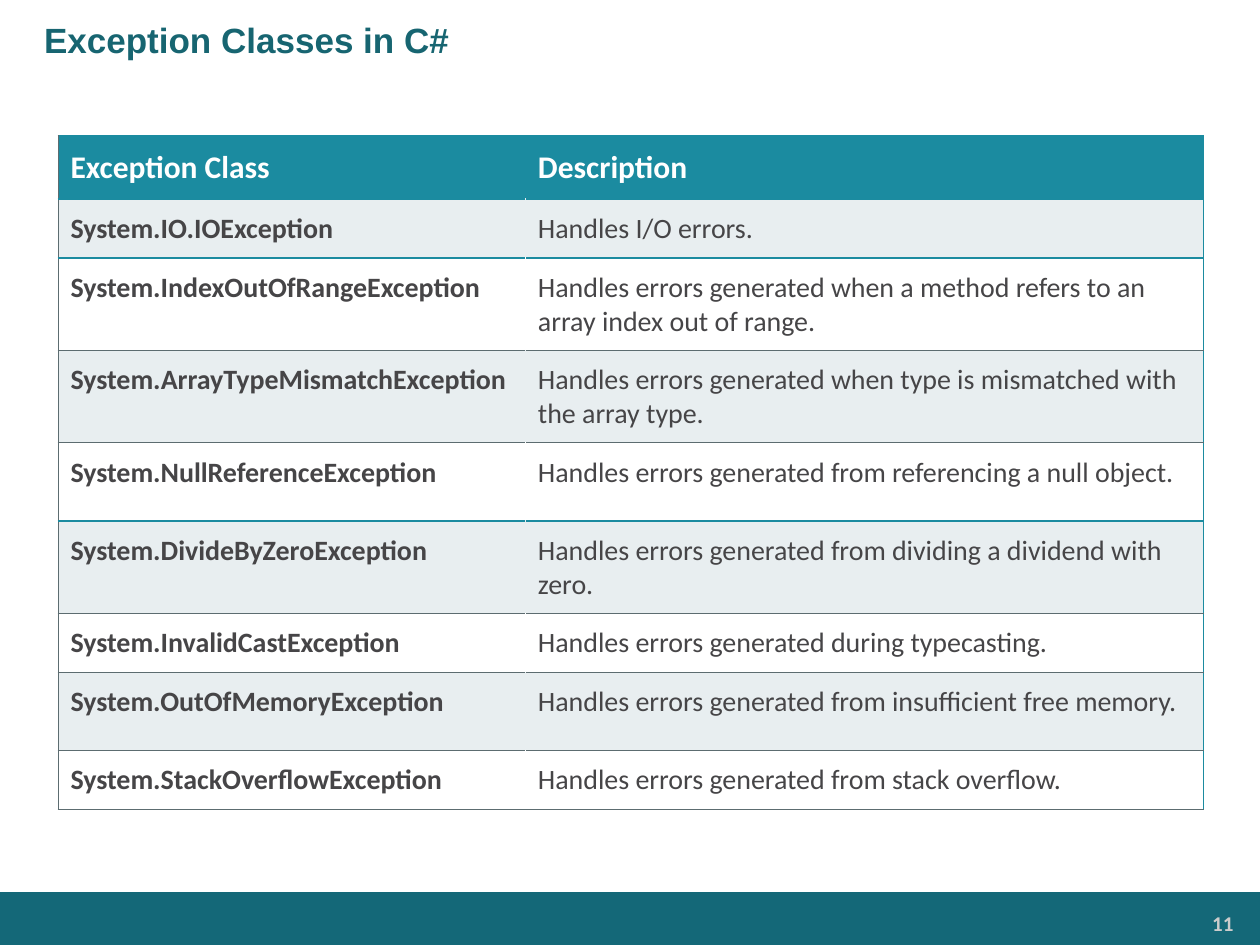
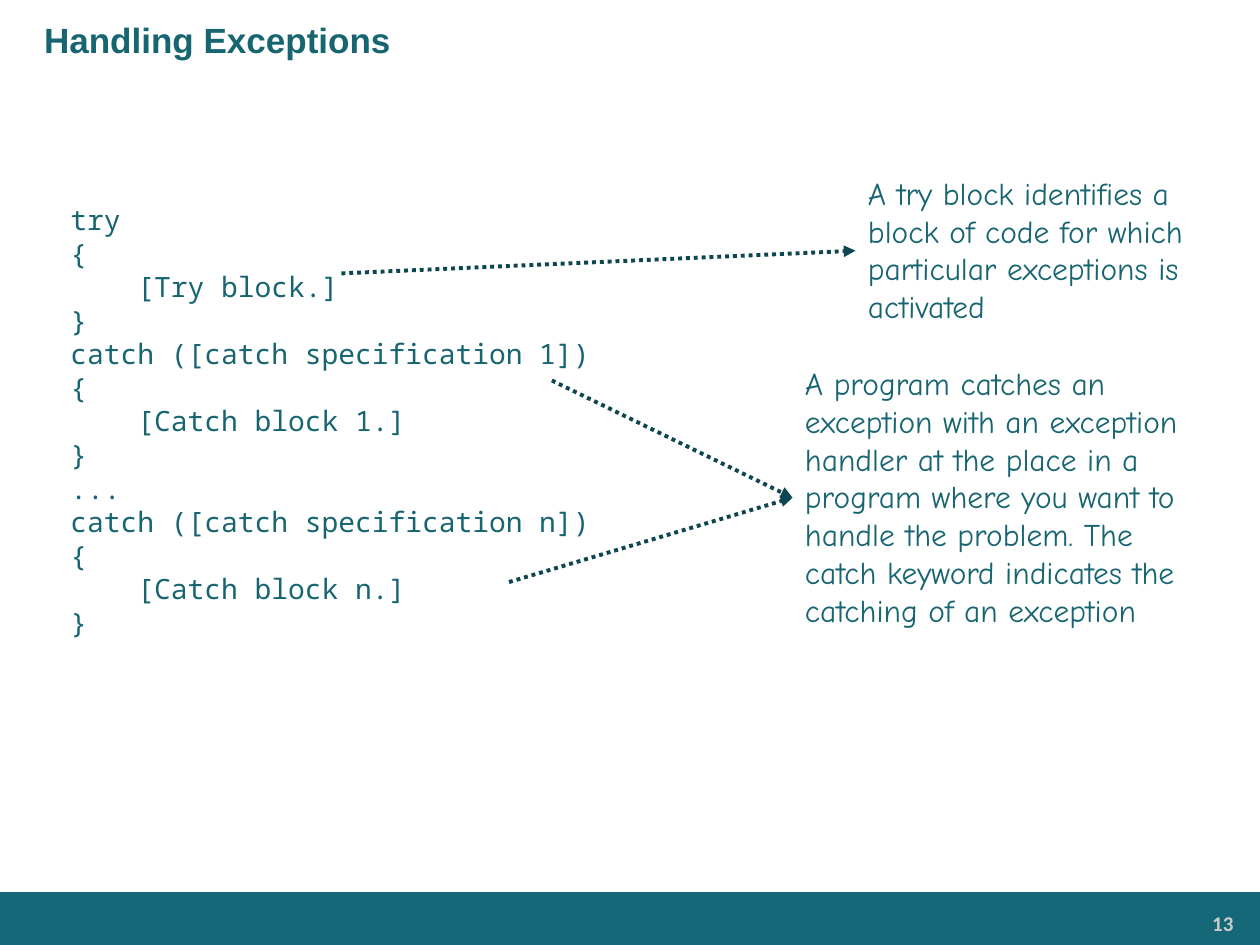
from dataclasses import dataclass

from lxml import etree
from pptx import Presentation
from pptx.dml.color import RGBColor
from pptx.enum.dml import MSO_LINE
from pptx.enum.shapes import MSO_CONNECTOR, MSO_SHAPE
from pptx.enum.text import MSO_ANCHOR, PP_ALIGN
from pptx.oxml.ns import qn
from pptx.slide import Slide
from pptx.text.text import TextFrame
from pptx.util import Inches, Pt

# Shared colours
BAND = RGBColor(0x14, 0x68, 0x78)
TEAL_TEXT = RGBColor(0x17, 0x65, 0x71)
TABLE_TEAL = RGBColor(0x1B, 0x8B, 0xA0)
ARROW = RGBColor(0x0D, 0x46, 0x50)
STRIPE = RGBColor(0xE8, 0xEE, 0xF0)
WHITE = RGBColor(0xFF, 0xFF, 0xFF)
BODY = RGBColor(0x46, 0x45, 0x47)
RULE = RGBColor(0x5C, 0x6C, 0x70)
PAGE_NUMBER = RGBColor(0xCC, 0xCC, 0xCC)


@dataclass(frozen=True)
class TextStyle:
    font: str
    size: float
    colour: RGBColor
    bold: bool = False
    line_pitch: float | None = None


@dataclass(frozen=True)
class Area:
    left: float
    top: float
    width: float
    height: float

    def lengths(self) -> tuple[int, int, int, int]:
        return (Inches(self.left), Inches(self.top),
                Inches(self.width), Inches(self.height))


@dataclass(frozen=True)
class Arrow:
    start: tuple[float, float]
    end: tuple[float, float]


@dataclass(frozen=True)
class Callout:
    area: Area
    text: str


@dataclass(frozen=True)
class ExceptionRow:
    name: str
    description: str
    height: float
    teal_below: bool = False


TITLE = TextStyle("Arial", 20, TEAL_TEXT, True)
NUMBER = TextStyle("Calibri", 12, PAGE_NUMBER, True)
HEADER = TextStyle("Calibri", 18, WHITE, True)
CLASS_NAME = TextStyle("Calibri", 16, BODY, True)
DESCRIPTION = TextStyle("Calibri", 16, BODY)
CODE = TextStyle("Noto Sans Mono", 16, TEAL_TEXT, line_pitch=19.2)
NOTE = TextStyle("Comic Neue", 18, TEAL_TEXT, line_pitch=21.6)

COLUMN_WIDTHS = (3.71, 5.38)
EXCEPTIONS = [
    ExceptionRow("System.IO.IOException", "Handles I/O errors.", 0.41, True),
    ExceptionRow("System.IndexOutOfRangeException",
                 "Handles errors generated when a method refers to an array "
                 "index out of range.", 0.62),
    ExceptionRow("System.ArrayTypeMismatchException",
                 "Handles errors generated when type is mismatched with the "
                 "array type.", 0.62),
    ExceptionRow("System.NullReferenceException",
                 "Handles errors generated from referencing a null object.",
                 0.62, True),
    ExceptionRow("System.DivideByZeroException",
                 "Handles errors generated from dividing a dividend with zero.",
                 0.62),
    ExceptionRow("System.InvalidCastException",
                 "Handles errors generated during typecasting.", 0.41),
    ExceptionRow("System.OutOfMemoryException",
                 "Handles errors generated from insufficient free memory.",
                 0.62),
    ExceptionRow("System.StackOverflowException",
                 "Handles errors generated from stack overflow.", 0.41),
]

CODE_TEXT = """try
{
    [Try block.]
}
catch ([catch specification 1])
{
    [Catch block 1.]
}
...
catch ([catch specification n])
{
    [Catch block n.]
}"""

CALLOUTS = [
    Callout(Area(6.79, 1.33, 2.75, 1.31),
            "A try block identifies a block of code for which particular "
            "exceptions is activated"),
    Callout(Area(6.29, 2.84, 3.25, 2.22),
            "A program catches an exception with an exception handler at the "
            "place in a program where you want to handle the problem. The "
            "catch keyword indicates the catching of an exception"),
]
CATCH_TARGET = (6.29, 3.95)
ARROWS = [
    Arrow((2.71, 2.17), (6.79, 1.99)),
    Arrow((4.38, 3.02), CATCH_TARGET),
    Arrow((4.04, 4.62), CATCH_TARGET),
]


def write(frame: TextFrame, text: str, style: TextStyle,
          align: PP_ALIGN = PP_ALIGN.LEFT) -> None:
    frame.word_wrap = True
    frame.text = text
    for para in frame.paragraphs:
        para.alignment = align
        if style.line_pitch:
            para.line_spacing = Pt(style.line_pitch)
        for span in para.runs:
            span.font.name = style.font
            span.font.size = Pt(style.size)
            span.font.bold = style.bold
            span.font.color.rgb = style.colour


def add_text(page: Slide, area: Area, text: str, style: TextStyle,
             align: PP_ALIGN = PP_ALIGN.LEFT) -> TextFrame:
    frame = page.shapes.add_textbox(*area.lengths()).text_frame
    write(frame, text, style, align)
    return frame


def add_panel(page: Slide, kind: MSO_SHAPE, area: Area,
              colour: RGBColor) -> TextFrame:
    box = page.shapes.add_shape(kind, *area.lengths())
    box.shadow.inherit = False
    box.fill.solid()
    box.fill.fore_color.rgb = colour
    box.line.fill.background()
    return box.text_frame


def add_page(deck: Presentation, title: str, number: int) -> Slide:
    """Add a page with the shared band, page number and title."""
    page = deck.slides.add_slide(deck.slide_layouts[6])
    add_panel(page, MSO_SHAPE.RECTANGLE, Area(0, 7.08, 10.01, 0.43), BAND)
    footer = add_text(page, Area(8.23, 7.19, 1.63, 0.28), str(number),
                      NUMBER, PP_ALIGN.RIGHT)
    footer.margin_left = footer.margin_right = Inches(0.07)
    footer.margin_top = footer.margin_bottom = Inches(0.04)
    heading = add_text(page, Area(0, 0, 10, 0.63), title, TITLE)
    heading.margin_left = Inches(0.35)
    heading.vertical_anchor = MSO_ANCHOR.MIDDLE
    return page


def set_borders(cell, borders: dict[str, tuple[RGBColor, float]]) -> None:
    """Put borders, given in schema order, ahead of the cell fill."""
    properties = cell._tc.get_or_add_tcPr()
    for index, (side, (colour, width)) in enumerate(borders.items()):
        edge = etree.Element(qn(f"a:{side}"), w=str(Pt(width)))
        fill = etree.SubElement(edge, qn("a:solidFill"))
        etree.SubElement(fill, qn("a:srgbClr"), val=str(colour))
        properties.insert(index, edge)


def add_exception_table(page: Slide) -> None:
    rows = [ExceptionRow("Exception Class", "Description", 0.47, True),
            *EXCEPTIONS]
    area = Area(0.46, 1.08, sum(COLUMN_WIDTHS), sum(row.height for row in rows))
    table = page.shapes.add_table(len(rows), 2, *area.lengths()).table
    for column, width in zip(table.columns, COLUMN_WIDTHS):
        column.width = Inches(width)
    teal_line, thin_line = (TABLE_TEAL, 1), (RULE, 0.5)
    above = teal_line
    for index, row in enumerate(rows):
        table.rows[index].height = Inches(row.height)
        below = teal_line if row.teal_below else thin_line
        if index == 0:
            fill, styles = TABLE_TEAL, (HEADER, HEADER)
        else:
            fill = STRIPE if index % 2 else WHITE
            styles = (CLASS_NAME, DESCRIPTION)
        texts = (row.name, row.description)
        for column, (text, style) in enumerate(zip(texts, styles)):
            cell = table.cell(index, column)
            cell.margin_left = cell.margin_right = Inches(0.1)
            cell.margin_top = cell.margin_bottom = Inches(0.1)
            cell.fill.solid()
            cell.fill.fore_color.rgb = fill
            write(cell.text_frame, text, style)
            outer = {"lnR": teal_line} if column else {"lnL": thin_line}
            # The inner edge takes the cell colour, so no divider shows
            inner = {"lnL" if column else "lnR": (fill, 0.5)}
            sides = dict(sorted({**outer, **inner}.items()))
            set_borders(cell, {**sides, "lnT": above, "lnB": below})
        above = below


def add_arrow(page: Slide, arrow: Arrow) -> None:
    ends = [Inches(value) for value in (*arrow.start, *arrow.end)]
    connector = page.shapes.add_connector(MSO_CONNECTOR.STRAIGHT, *ends)
    connector.line.color.rgb = ARROW
    connector.line.width = Pt(2.25)
    connector.line.dash_style = MSO_LINE.ROUND_DOT
    etree.SubElement(connector.line._get_or_add_ln(), qn("a:tailEnd"),
                     type="triangle")
    etree.SubElement(connector._element.spPr, qn("a:effectLst"))


def add_code(page: Slide) -> None:
    frame = add_panel(page, MSO_SHAPE.FLOWCHART_DOCUMENT,
                      Area(0.46, 1.5, 5.75, 4.25), WHITE)
    frame.vertical_anchor = MSO_ANCHOR.MIDDLE
    frame.margin_top = Inches(0.32)
    write(frame, CODE_TEXT, CODE)


def main() -> None:
    deck = Presentation()
    deck.slide_width, deck.slide_height = Inches(10), Inches(7.5)

    # Table of exception classes
    add_exception_table(add_page(deck, "Exception Classes in C#", 11))

    # Code skeleton with its explanations
    page = add_page(deck, "Handling Exceptions", 13)
    add_code(page)
    for callout in CALLOUTS:
        add_text(page, callout.area, callout.text, NOTE)
    for arrow in ARROWS:
        add_arrow(page, arrow)

    deck.save("out.pptx")


if __name__ == "__main__":
    main()
